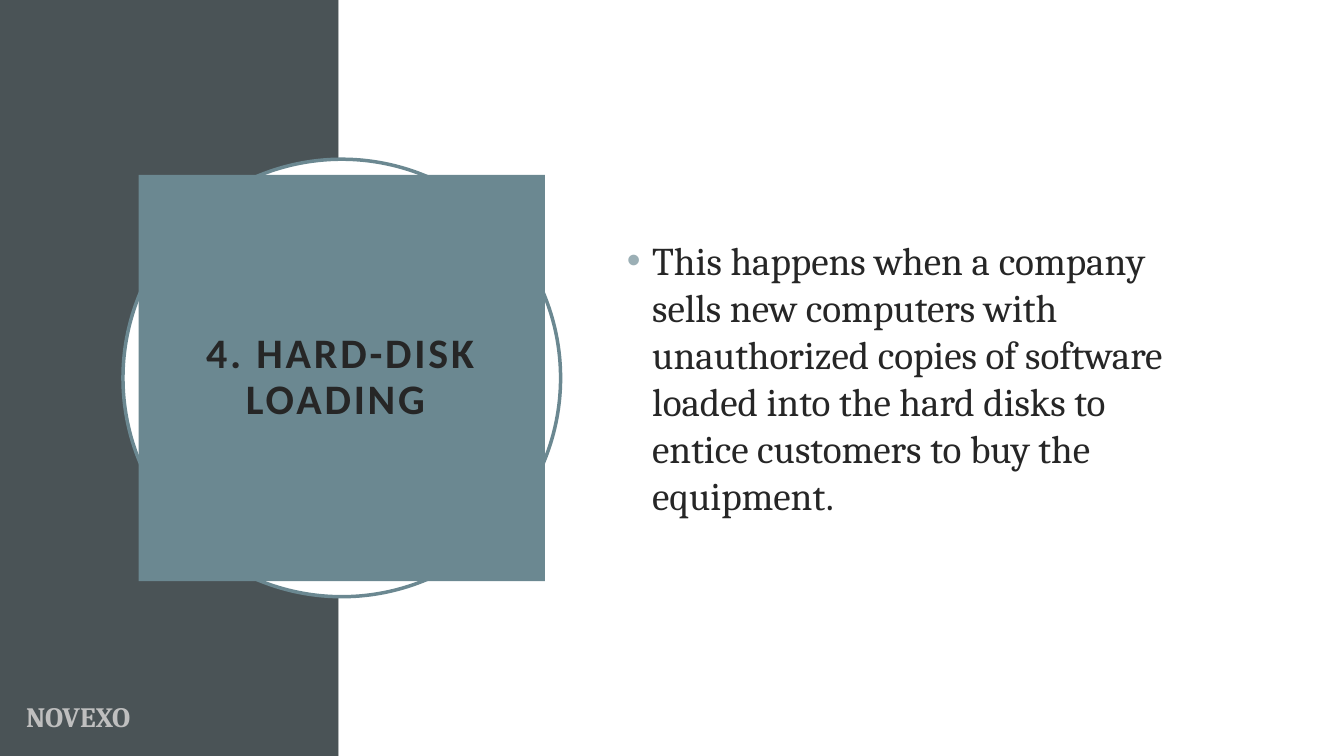
from pptx import Presentation
from pptx.dml.color import RGBColor
from pptx.enum.shapes import MSO_SHAPE
from pptx.enum.text import MSO_ANCHOR, PP_ALIGN
from pptx.oxml.ns import qn
from pptx.util import Inches, Pt
from lxml import etree

RECTANGLE = MSO_SHAPE.RECTANGLE
OVAL = MSO_SHAPE.OVAL
MIDDLE = MSO_ANCHOR.MIDDLE
CENTER = PP_ALIGN.CENTER

TITLE = "4. HARD-DISK LOADING "
BODY = ("This happens when a company sells new computers with unauthorized "
        "copies of software loaded into the hard disks to entice customers "
        "to buy the equipment.")
FOOTER = "NOVEXO"

COLORS = {"slate": "4A5356", "white": "FFFFFF", "teal": "6B8891",
          "ink": "262626", "bullet": "9BAFB5", "gray": "BFBFBF"}

SLIDE_WIDTH, SLIDE_HEIGHT = 13.33, 7.5
BAND_WIDTH = 3.36
CENTER_X, CENTER_Y = 3.39, 3.75
RING_SIZE, TITLE_SIZE = 4.34, 4.03


def color(name):
    return RGBColor.from_string(COLORS[name])


def add_panel(page, kind, area, fill, line=None):
    panel = page.shapes.add_shape(kind, *map(Inches, area))
    panel.shadow.inherit = False
    panel.fill.solid()
    panel.fill.fore_color.rgb = color(fill)
    if line:
        panel.line.color.rgb = color(line)
        panel.line.width = Pt(2.5)
    else:
        panel.line.fill.background()
    return panel


def centered_square(size):
    return CENTER_X - size / 2, CENTER_Y - size / 2, size, size


def add_text_box(page, area):
    box = page.shapes.add_textbox(*map(Inches, area))
    box.text_frame.word_wrap = True
    return box.text_frame


def add_span(para, text, font, size, ink, bold=False):
    span = para.add_run()
    span.text = text
    span.font.name = font
    span.font.size = Pt(size)
    span.font.bold = bold
    span.font.color.rgb = color(ink)
    return span


def add_bullet(para, indent):
    properties = para._p.get_or_add_pPr()
    properties.set("marL", str(Inches(indent)))
    properties.set("indent", str(-Inches(indent)))
    tint = etree.SubElement(properties, qn("a:buClr"))
    etree.SubElement(tint, qn("a:srgbClr"), val=COLORS["bullet"])
    etree.SubElement(properties, qn("a:buFont"), typeface="Arial")
    etree.SubElement(properties, qn("a:buChar"), char="•")


def main():
    deck = Presentation()
    deck.slide_width = Inches(SLIDE_WIDTH)
    deck.slide_height = Inches(SLIDE_HEIGHT)
    page = deck.slides.add_slide(deck.slide_layouts[6])

    add_panel(page, RECTANGLE, (0, 0, BAND_WIDTH, SLIDE_HEIGHT), "slate")
    add_panel(page, RECTANGLE,
              (BAND_WIDTH, 0, SLIDE_WIDTH - BAND_WIDTH, SLIDE_HEIGHT), "white")
    add_panel(page, OVAL, centered_square(RING_SIZE), "white", "teal")

    title = add_panel(page, RECTANGLE, centered_square(TITLE_SIZE), "teal").text_frame
    title.word_wrap = True
    title.vertical_anchor = MIDDLE
    title.margin_left = title.margin_right = Inches(0.2)
    title.margin_top = title.margin_bottom = Inches(0.2)
    para = title.paragraphs[0]
    para.alignment = CENTER
    para.line_spacing = 0.9
    span = add_span(para, TITLE, "Calibri", 30, "ink", True)
    span.font._element.set("spc", "200")

    body = add_text_box(page, (6.12, 1.53, 5.82, 4.43))
    body.vertical_anchor = MIDDLE
    para = body.paragraphs[0]
    para.space_before = Pt(10)
    add_bullet(para, 0.25)
    add_span(para, BODY, "Cambria", 28, "ink")

    footer = add_text_box(page, (0.16, 6.89, 3, 0.44))
    add_span(footer.paragraphs[0], FOOTER, "Cambria", 20, "gray", True)

    deck.save("out.pptx")


if __name__ == "__main__":
    main()
